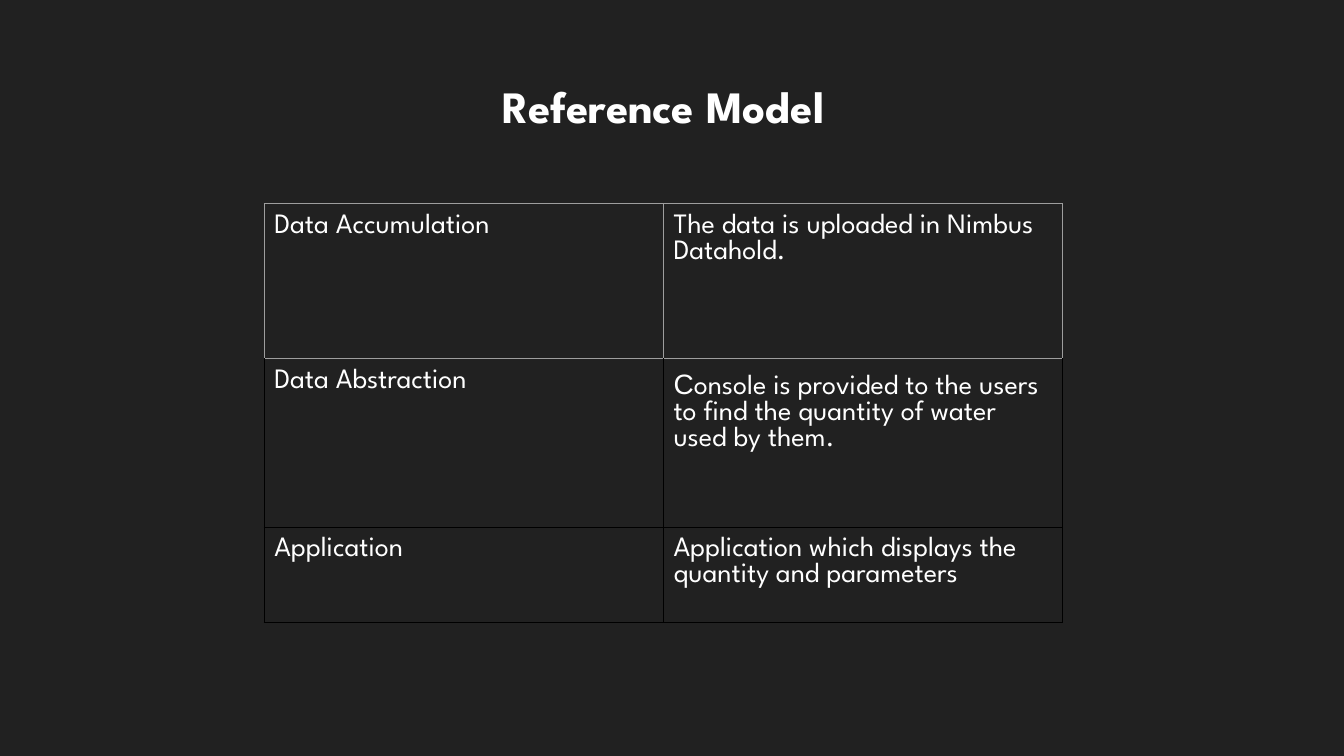
"""Build the Reference Model slide: a title above a two-column table."""
import dataclasses

import lxml.etree
import pptx
import pptx.dml.color
import pptx.enum.text
import pptx.oxml.ns
import pptx.slide
import pptx.table
import pptx.text.text
import pptx.util


@dataclasses.dataclass(frozen=True)
class Theme:
    background: str = "212121"
    text: str = "FFFFFF"
    light_border: str = "9E9E9E"
    dark_border: str = "000000"
    font: str = "League Spartan"
    initial_font: str = "Arial"
    title_size: float = 32
    body_size: float = 20
    border_width: float = 0.75
    cell_margin: float = 0.1


@dataclasses.dataclass(frozen=True)
class ModelLevel:
    name: str
    description: str
    height: float
    top_border: str
    side_border: str
    bottom_border: str
    initial: str = ""
    space_before: float = 0


THEME = Theme()
COLUMN_WIDTH = 3.96
LEVELS = [
    ModelLevel("Data Accumulation", "The data is uploaded in Nimbus Datahold.", 1.54,
               THEME.light_border, THEME.light_border, THEME.light_border),
    ModelLevel("Data Abstraction",
               "onsole is provided to the users to find the quantity of water used by them.", 1.67,
               THEME.light_border, THEME.dark_border, THEME.dark_border,
               initial="C", space_before=4.8),
    ModelLevel("Application", "Application which displays the quantity and parameters", 0.95,
               THEME.dark_border, THEME.dark_border, THEME.dark_border),
]


def color(value: str) -> pptx.dml.color.RGBColor:
    return pptx.dml.color.RGBColor.from_string(value)


def add_run(paragraph: pptx.text.text._Paragraph, text: str, size: float,
            font: str = THEME.font, bold: bool = False) -> None:
    run = paragraph.add_run()
    run.text = text
    run.font.name = font
    run.font.size = pptx.util.Pt(size)
    run.font.bold = bold
    run.font.color.rgb = color(THEME.text)


def add_border(cell: pptx.table._Cell, side: str, value: str) -> None:
    properties = cell._tc.get_or_add_tcPr()
    line = lxml.etree.SubElement(properties, pptx.oxml.ns.qn(f"a:{side}"),
                                 w=str(pptx.util.Pt(THEME.border_width)))
    fill = lxml.etree.SubElement(line, pptx.oxml.ns.qn("a:solidFill"))
    lxml.etree.SubElement(fill, pptx.oxml.ns.qn("a:srgbClr"), val=value)


def format_cell(cell: pptx.table._Cell, level: ModelLevel) -> None:
    margin = pptx.util.Inches(THEME.cell_margin)
    cell.margin_left = cell.margin_right = margin
    cell.margin_top = cell.margin_bottom = margin
    borders = {"lnL": level.side_border, "lnR": level.side_border,
               "lnT": level.top_border, "lnB": level.bottom_border}
    for side, value in borders.items():
        add_border(cell, side, value)
    cell.fill.background()


def add_title(slide: pptx.slide.Slide, text: str) -> None:
    title = slide.shapes.title
    title.left, title.top = pptx.util.Inches(2.81), pptx.util.Inches(0.73)
    title.width, title.height = pptx.util.Inches(7.54), pptx.util.Inches(0.64)
    frame = title.text_frame
    frame.word_wrap = True
    frame.auto_size = pptx.enum.text.MSO_AUTO_SIZE.NONE
    frame.vertical_anchor = pptx.enum.text.MSO_ANCHOR.MIDDLE
    paragraph = frame.paragraphs[0]
    paragraph.alignment = pptx.enum.text.PP_ALIGN.CENTER
    add_run(paragraph, text, THEME.title_size, bold=True)


def add_model_table(slide: pptx.slide.Slide, levels: list[ModelLevel]) -> None:
    frame = slide.shapes.add_table(
        len(levels), 2, pptx.util.Inches(2.62), pptx.util.Inches(2.02),
        pptx.util.Inches(2 * COLUMN_WIDTH),
        pptx.util.Inches(sum(level.height for level in levels)))
    table = frame.table
    table.first_row = table.horz_banding = False
    for column in table.columns:
        column.width = pptx.util.Inches(COLUMN_WIDTH)
    for row, level in zip(table.rows, levels):
        row.height = pptx.util.Inches(level.height)
        for cell in row.cells:
            format_cell(cell, level)
        name, description = (cell.text_frame.paragraphs[0] for cell in row.cells)
        add_run(name, level.name, THEME.body_size)
        description.space_before = pptx.util.Pt(level.space_before)
        if level.initial:
            add_run(description, level.initial, THEME.body_size, THEME.initial_font)
        add_run(description, level.description, THEME.body_size)


def main() -> None:
    presentation = pptx.Presentation()
    presentation.slide_width = pptx.util.Inches(13.33)
    presentation.slide_height = pptx.util.Inches(7.5)
    slide = presentation.slides.add_slide(presentation.slide_layouts.get_by_name("Title Only"))
    slide.background.fill.solid()
    slide.background.fill.fore_color.rgb = color(THEME.background)
    add_title(slide, "Reference Model")
    add_model_table(slide, LEVELS)
    presentation.save("out.pptx")


if __name__ == "__main__":
    main()
